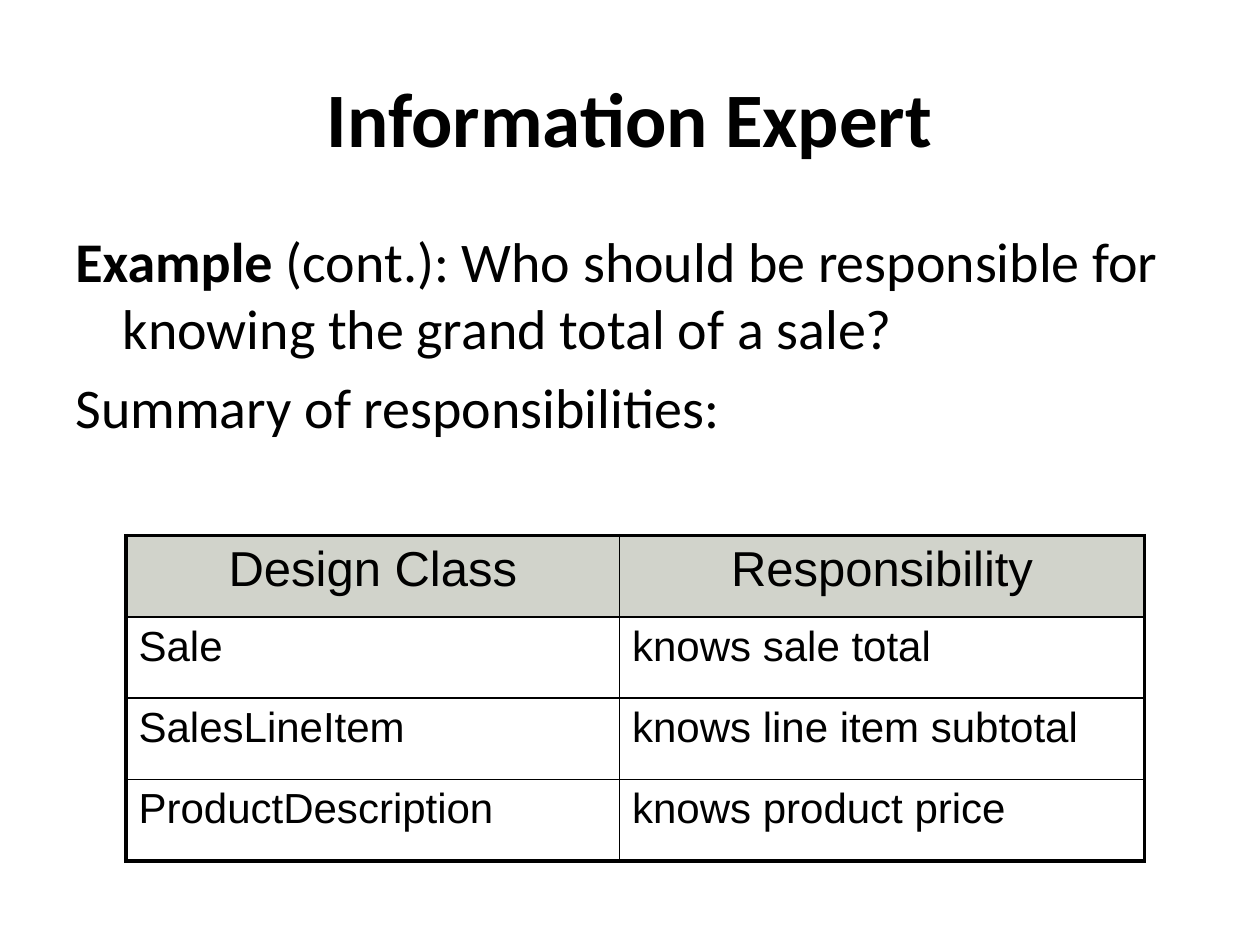
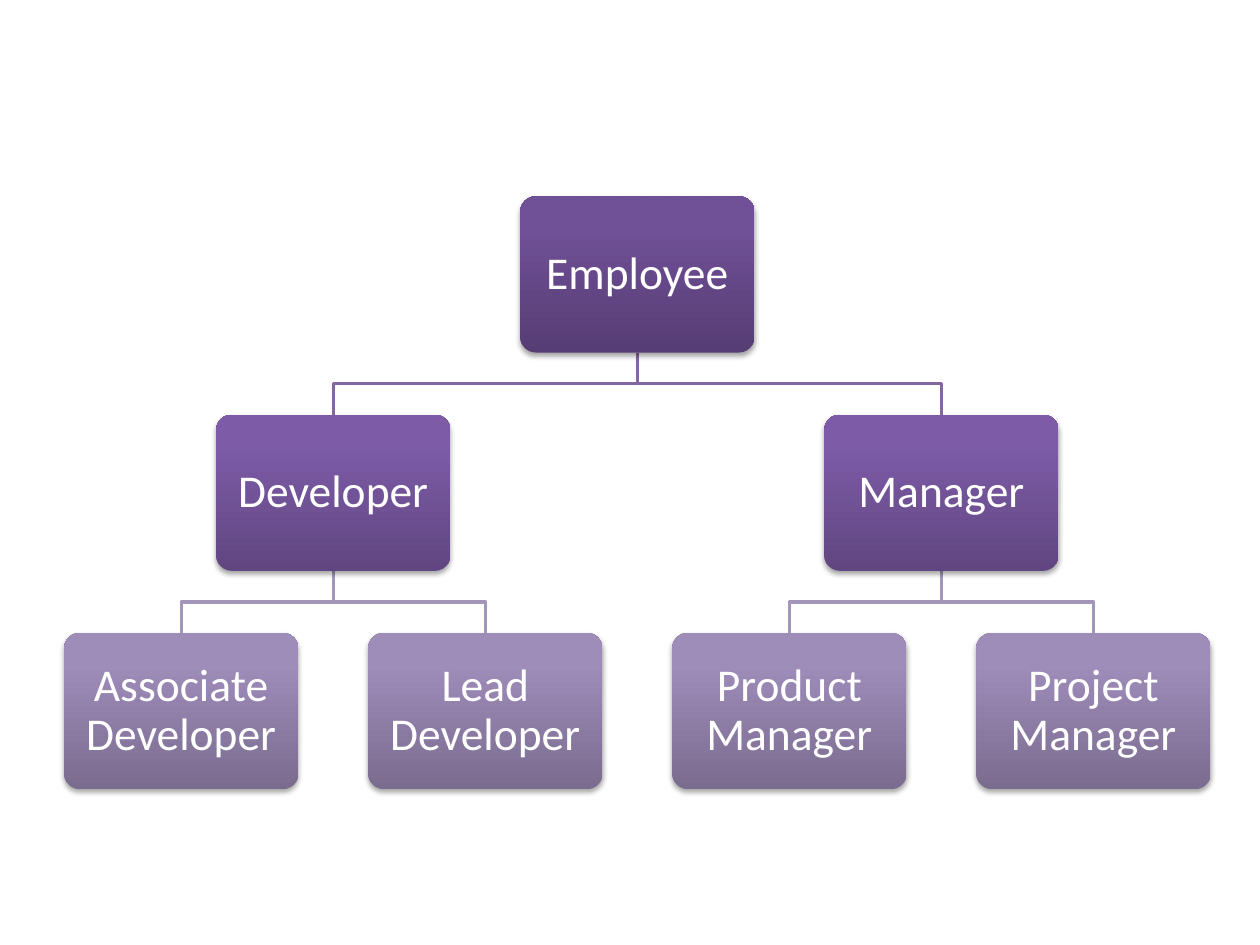
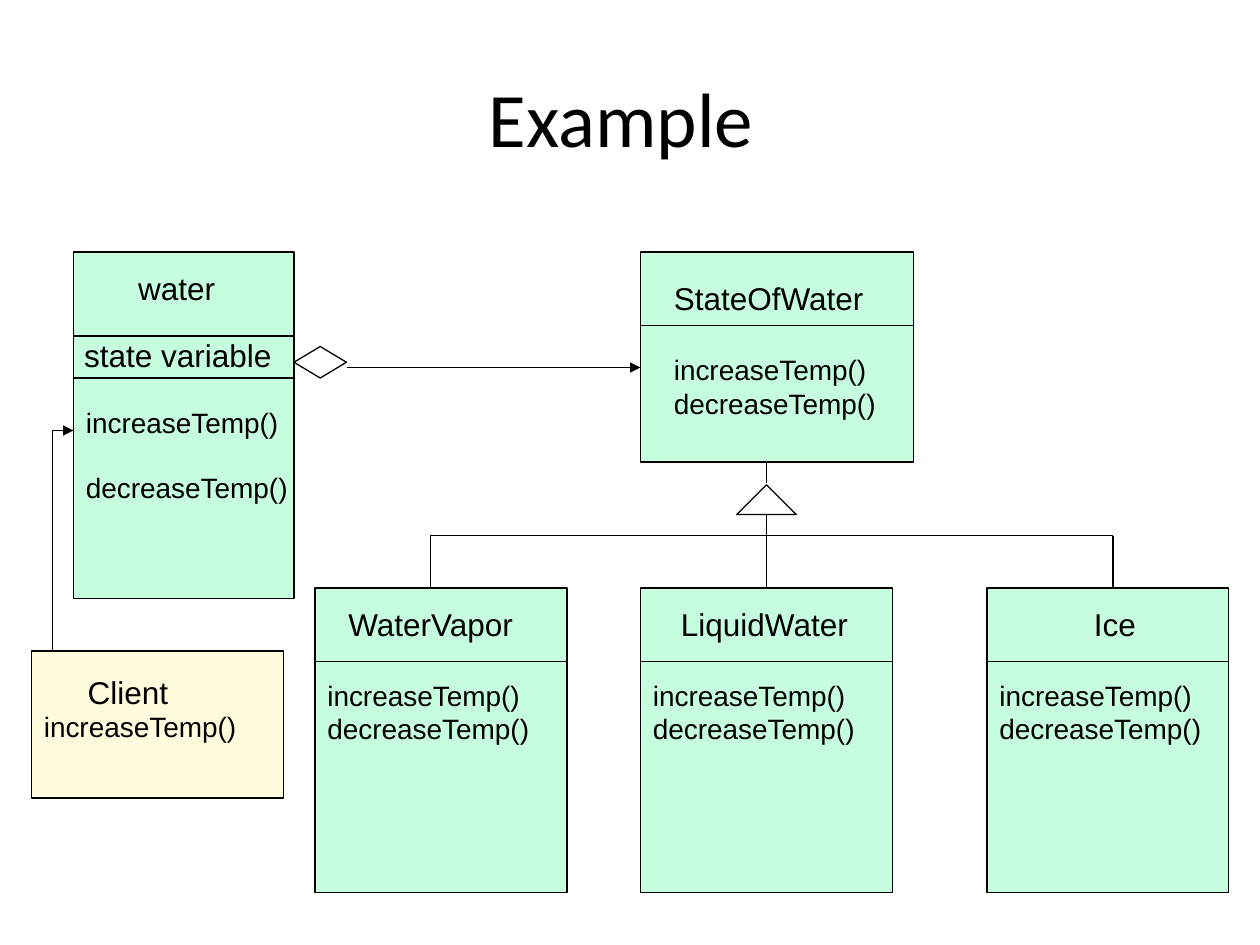
from lxml.etree import SubElement
from pptx import Presentation
from pptx.dml.color import RGBColor
from pptx.enum.shapes import MSO_CONNECTOR, MSO_SHAPE as SHAPE
from pptx.enum.text import MSO_ANCHOR as ANCHOR, PP_ALIGN as ALIGN
from pptx.oxml.ns import qn
from pptx.util import Pt

BLACK, WHITE = "000000", "FFFFFF"
HEADER_FILL = "D1D3CB"
CLASS_FILL, CLIENT_FILL = "C7FDDF", "FEFCDC"
BODY, DIAGRAM = "Calibri", "Arial"

# Responsibilities
QUESTION = [
    [("Example", True),
     (" (cont.): Who should be responsible for knowing the grand total of a sale?", False)],
    [("Summary of responsibilities:", False)],
]
RESPONSIBILITIES = [
    ("Design Class", "Responsibility"),
    ("Sale", "knows sale total"),
    ("SalesLineItem", "knows line item subtotal"),
    ("ProductDescription", "knows product price"),
]
COLUMN_WIDTHS = (282, 300)
ROW_HEIGHT = 46.5

# Employee tree: (name, children)
EMPLOYEES = ("Employee", [
    ("Developer", [("Associate Developer", []), ("Lead Developer", [])]),
    ("Manager", [("Product Manager", []), ("Project Manager", [])]),
])
LEVEL_GRADIENTS = [("563D74", "705097"), ("604681", "7D5BA7"), ("7A6C8F", "9E8CB9")]
LINK_COLORS = ["8267A3", "A496BA"]
NODE_W, NODE_H = 134, 89.3
TREE_LEFT, TREE_TOP = 36.6, 112.2
LEAF_STEP, LEVEL_STEP = 173.75, 124.75

# Water classes: (left, top, width, height, fill, divider heights)
CLASSES = [
    (42, 144, 126, 198, CLASS_FILL, (192, 216)),
    (366, 144, 156, 120, CLASS_FILL, (186,)),
    (180, 336, 144, 174, CLASS_FILL, (378,)),
    (366, 336, 144, 174, CLASS_FILL, (378,)),
    (564, 336, 138, 174, CLASS_FILL, (378,)),
    (18, 372, 144, 84, CLIENT_FILL, ()),
]
# (text, left, top, width, alignment)
CLASS_NAMES = [
    ("water", 30, 150, 142, ALIGN.CENTER),
    ("state variable", 41, 188.5, 126, ALIGN.LEFT),
    ("StateOfWater", 378, 156, 126, ALIGN.LEFT),
    ("WaterVapor", 192, 342, 114, ALIGN.LEFT),
    ("LiquidWater", 382, 342, 120, ALIGN.LEFT),
    ("Ice", 618, 342, 42, ALIGN.LEFT),
    ("Client", 43, 381, 110, ALIGN.LEFT),
]
BOTH = ["increaseTemp()", "decreaseTemp()"]
# (methods, left, top, gap between methods)
METHODS = [
    (BOTH, 42, 228, 18.4),
    (BOTH, 378, 198, 0),
    (BOTH, 180, 384, 0),
    (BOTH, 366, 384, 0),
    (BOTH, 564, 384, 0),
    (BOTH[:1], 18, 402, 0),
]
# (x1, y1, x2, y2, arrow)
RELATIONS = [
    (198, 210, 366, 210, True),
    (246, 306, 636, 306, False),
    (246, 336, 246, 306, False),
    (636, 336, 636, 306, False),
    (438, 336, 438, 294, False),
    (438, 276, 438, 264, False),
    (30, 372, 30, 246, False),
    (30, 246, 42, 246, True),
]


def rgb(value):
    return RGBColor.from_string(value)


def box(x, y, w, h):
    return Pt(x), Pt(y), Pt(w), Pt(h)


def style(p, size, font, color=BLACK, align=ALIGN.LEFT):
    p.alignment = align
    for r in p.runs:
        r.font.size, r.font.name = Pt(size), font
        r.font.color.rgb = rgb(color)


def add_text(slide, lines, bounds, size, font, align=ALIGN.LEFT, gap=0):
    tf = slide.shapes.add_textbox(*box(*bounds)).text_frame
    tf.word_wrap = True
    tf.text = "\n".join(lines)
    for i, p in enumerate(tf.paragraphs):
        style(p, size, font, align=align)
        p.space_before = Pt(gap if i else 0)
    return tf


def add_title(slide, text, bold=False):
    tf = add_text(slide, [text], (36, 21.6, 648, 90), 44, BODY, ALIGN.CENTER)
    tf.vertical_anchor = ANCHOR.MIDDLE
    tf.paragraphs[0].runs[0].font.bold = bold


def add_outlined(slide, kind, bounds, fill=None):
    s = slide.shapes.add_shape(kind, *box(*bounds))
    if fill:
        s.fill.solid()
        s.fill.fore_color.rgb = rgb(fill)
    else:
        s.fill.background()
    s.line.color.rgb, s.line.width = rgb(BLACK), Pt(0.75)
    s.shadow.inherit = False
    return s


def add_line(slide, x1, y1, x2, y2, arrow=False):
    s = slide.shapes.add_connector(MSO_CONNECTOR.STRAIGHT, Pt(x1), Pt(y1), Pt(x2), Pt(y2))
    s.line.color.rgb, s.line.width = rgb(BLACK), Pt(0.75)
    if arrow:
        SubElement(s.line._get_or_add_ln(), qn("a:tailEnd"), type="triangle")
    SubElement(s._element.spPr, qn("a:effectLst"))


def set_borders(cell, widths):
    tcPr = cell._tc.get_or_add_tcPr()
    for side, width in widths.items():
        ln = SubElement(tcPr, qn(f"a:ln{side}"), w=str(Pt(width)))
        SubElement(SubElement(ln, qn("a:solidFill")), qn("a:srgbClr"), val=BLACK)


def add_responsibility_table(slide):
    rows, cols = len(RESPONSIBILITIES), len(COLUMN_WIDTHS)
    bounds = box(72, 306, sum(COLUMN_WIDTHS), rows * ROW_HEIGHT)
    table = slide.shapes.add_table(rows, cols, *bounds).table
    table.first_row = table.horz_banding = False
    for column, width in zip(table.columns, COLUMN_WIDTHS):
        column.width = Pt(width)
    for i, texts in enumerate(RESPONSIBILITIES):
        table.rows[i].height = Pt(ROW_HEIGHT)
        for j, text in enumerate(texts):
            cell = table.cell(i, j)
            outer = {"L": j == 0, "R": j == cols - 1, "T": i == 0, "B": i == rows - 1}
            set_borders(cell, {side: 2.25 if edge else 1 for side, edge in outer.items()})
            cell.text = text
            p = cell.text_frame.paragraphs[0]
            if i == 0:
                cell.fill.solid()
                cell.fill.fore_color.rgb = rgb(HEADER_FILL)
                style(p, 28, DIAGRAM, align=ALIGN.CENTER)
            else:
                cell.fill.background()
                style(p, 24, DIAGRAM)


def add_node(slide, name, center, top, gradient):
    s = slide.shapes.add_shape(
        SHAPE.ROUNDED_RECTANGLE, *box(center - NODE_W / 2, top, NODE_W, NODE_H))
    s.adjustments[0] = 0.1
    s.line.fill.background()
    s.fill.gradient()
    s.fill.gradient_angle = 90
    for stop, color, position in zip(s.fill.gradient_stops, gradient, (0, 0.8)):
        stop.color.rgb, stop.position = rgb(color), position
    s.shadow.inherit = False
    shadow = SubElement(s._element.spPr.find(qn("a:effectLst")), qn("a:outerShdw"),
                        blurRad=str(Pt(3.1)), dist=str(Pt(1.8)), dir="5400000", rotWithShape="0")
    color = SubElement(shadow, qn("a:srgbClr"), val=BLACK)
    SubElement(color, qn("a:alpha"), val="35000")
    tf = s.text_frame
    tf.word_wrap, tf.vertical_anchor = True, ANCHOR.MIDDLE
    tf.margin_left = tf.margin_right = tf.margin_top = tf.margin_bottom = Pt(8)
    tf.text = name
    p = tf.paragraphs[0]
    p.line_spacing = 0.9
    style(p, 26, BODY, WHITE, ALIGN.CENTER)


def add_link(slide, x1, y1, x2, y2, color):
    middle = (y1 + y2) / 2
    builder = slide.shapes.build_freeform(Pt(x1), Pt(y1))
    points = [(x1, middle), (x2, middle), (x2, y2)]
    builder.add_line_segments([(Pt(x), Pt(y)) for x, y in points], close=False)
    s = builder.convert_to_shape()
    s.fill.background()
    s.line.color.rgb, s.line.width = rgb(color), Pt(2)
    s.shadow.inherit = False


def add_tree(slide, node, level=0, first_leaf=0):
    """Draw a node below its links; return its centre and the next free leaf."""
    name, children = node
    top = TREE_TOP + level * LEVEL_STEP
    centers, next_leaf = [], first_leaf
    for child in children:
        center, next_leaf = add_tree(slide, child, level + 1, next_leaf)
        centers.append(center)
    if children:
        center = sum(centers) / len(centers)
    else:
        center = TREE_LEFT + NODE_W / 2 + first_leaf * LEAF_STEP
        next_leaf += 1
    for x in centers:
        add_link(slide, center, top + NODE_H, x, top + LEVEL_STEP, LINK_COLORS[level])
    add_node(slide, name, center, top, LEVEL_GRADIENTS[level])
    return center, next_leaf


def build_expert(slide):
    add_title(slide, "Information Expert", bold=True)
    tf = add_text(slide, ["".join(text for text, _ in runs) for runs in QUESTION],
                  (36, 126, 648, 356), 32, BODY, gap=6.4)
    for p, runs in zip(tf.paragraphs, QUESTION):
        p.clear()
        for text, bold in runs:
            r = p.add_run()
            r.text, r.font.bold = text, bold
        style(p, 32, BODY)
        pPr = p._p.get_or_add_pPr()
        pPr.set("marL", str(Pt(27)))
        pPr.set("indent", str(Pt(-27)))
    add_responsibility_table(slide)


def build_employees(slide):
    add_tree(slide, EMPLOYEES)


def build_water(slide):
    add_title(slide, "Example ")
    for x, y, w, h, fill, dividers in CLASSES:
        add_outlined(slide, SHAPE.RECTANGLE, (x, y, w, h), fill)
        for divider in dividers:
            add_line(slide, x, divider, x + w, divider)
    add_outlined(slide, SHAPE.DIAMOND, (168, 198, 30, 18))
    add_outlined(slide, SHAPE.RIGHT_TRIANGLE, (426, 282, 24, 24)).rotation = 135
    for relation in RELATIONS:
        add_line(slide, *relation)
    for text, x, y, w, align in CLASS_NAMES:
        add_text(slide, [text], (x, y, w, 29), 18, DIAGRAM, align)
    for methods, x, y, gap in METHODS:
        add_text(slide, methods, (x, y, 138, 46), 16, DIAGRAM, gap=gap)


def main():
    prs = Presentation()
    prs.slide_width, prs.slide_height = Pt(720), Pt(540)
    for build in (build_expert, build_employees, build_water):
        build(prs.slides.add_slide(prs.slide_layouts[6]))
    prs.save("out.pptx")


if __name__ == "__main__":
    main()
